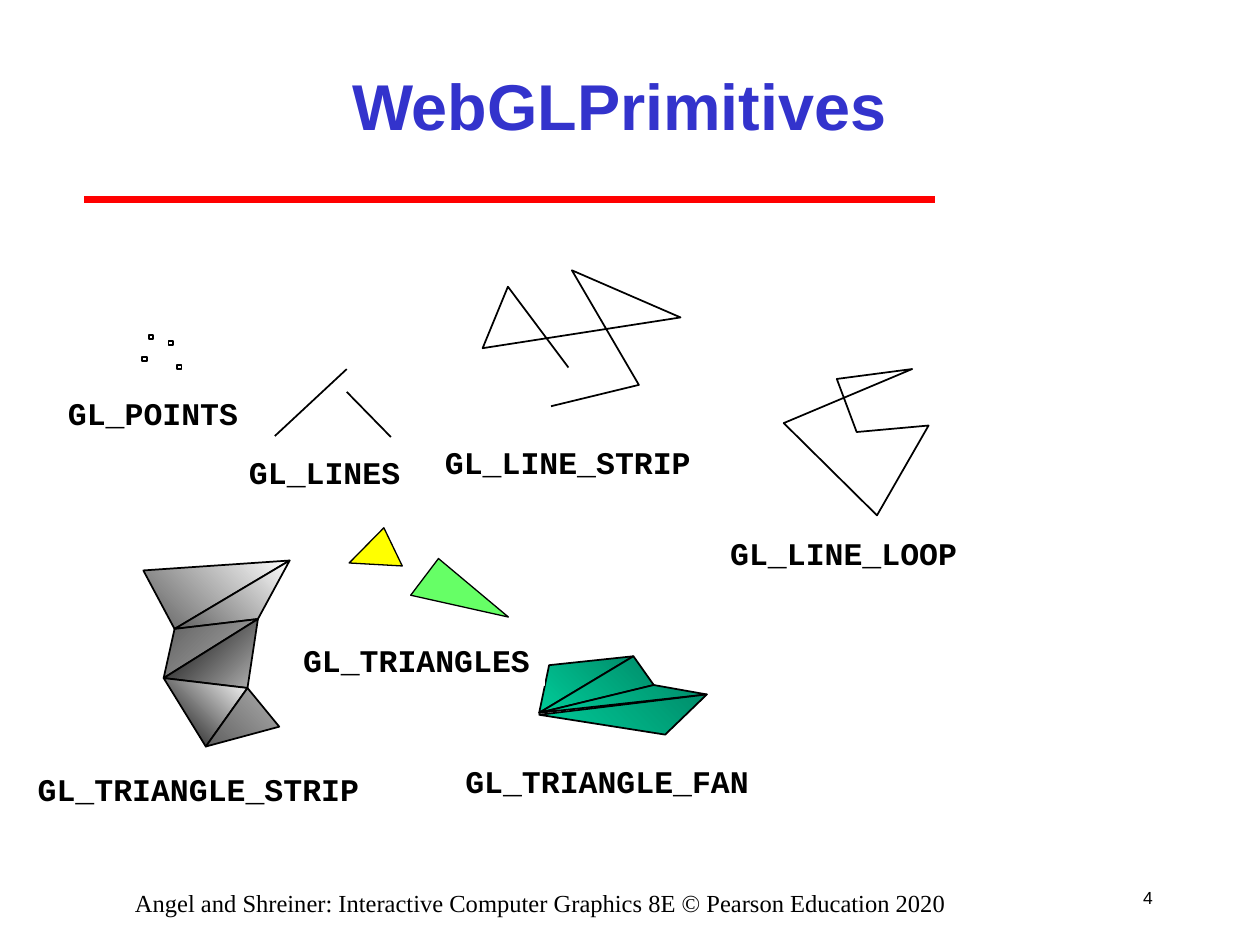
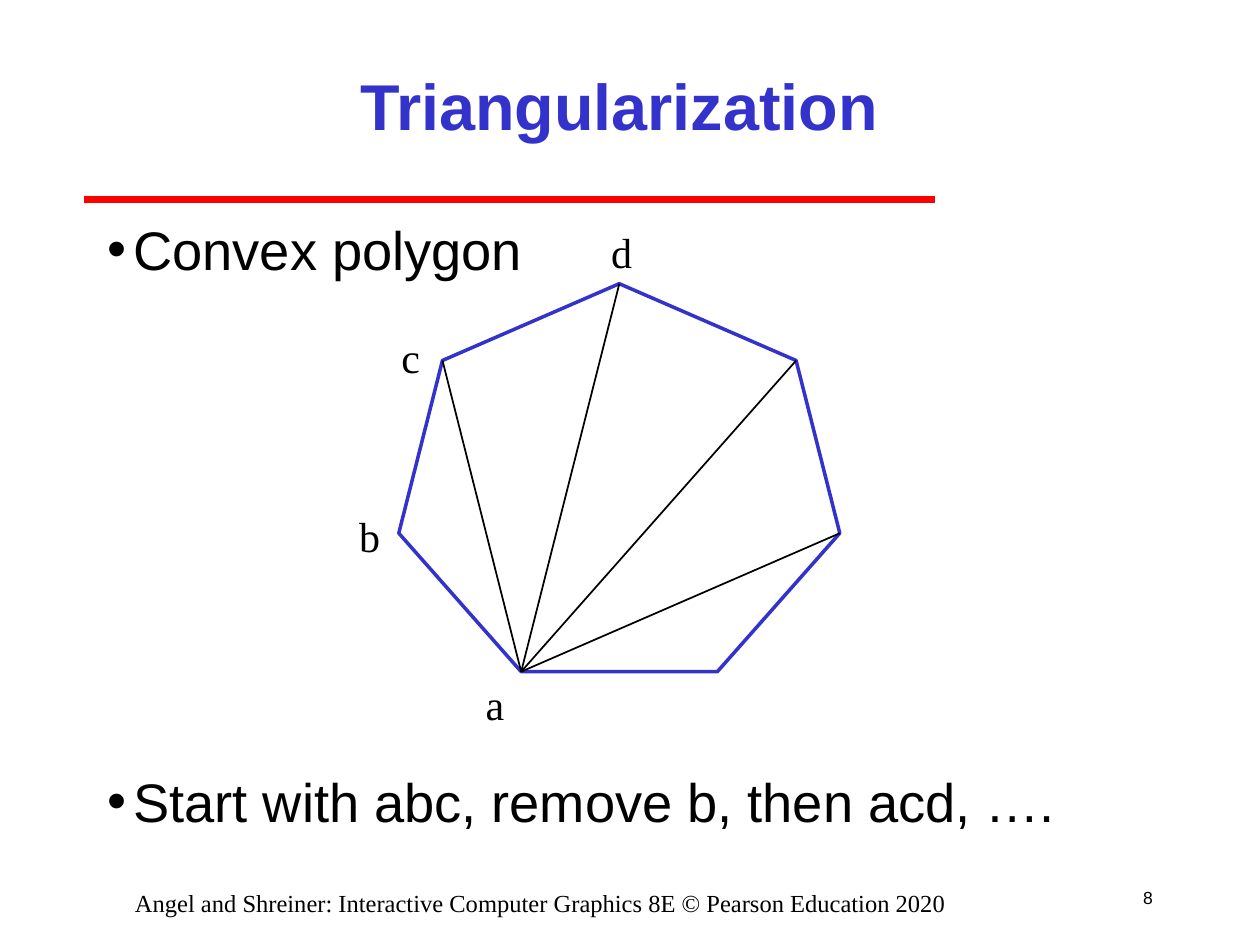
import math
from collections import namedtuple
from dataclasses import dataclass

from lxml import etree
from pptx import Presentation
from pptx import util as u
from pptx.dml.color import RGBColor
from pptx.enum import shapes, text
from pptx.oxml import ns

Box = namedtuple("Box", "left top width height", defaults=(0, 0))


@dataclass(frozen=True)
class Theme:
    ink: str = "000000"
    paper: str = "FFFFFF"
    accent: str = "3333CC"
    rule: str = "FF0000"
    yellow: str = "FFFF00"
    green: str = "66FF66"
    fan: tuple = ("00CC99", "008E6B")
    sans: str = "Arial"
    serif: str = "Times New Roman"
    mono: str = "Courier New"
    title: float = 37
    body: float = 31
    vertex: float = 24
    code: float = 18
    footer: float = 14
    number: float = 10
    thin: float = 0.75
    normal: float = 1
    edge: float = 2
    bar: float = 4


THEME = Theme()
FOOTER = "Angel and Shreiner: Interactive Computer Graphics 8E © Pearson Education 2020"
UP, DOWN = 45, 315


def rgb(color):
    return RGBColor.from_string(color)


def add_text(slide, box, content, size, font=THEME.sans, color=THEME.ink, bold=False,
             align=text.PP_ALIGN.LEFT, anchor=text.MSO_ANCHOR.TOP, wrap=True,
             border=None, bullet=None, gap=0):
    holder = slide.shapes.add_textbox(*map(u.Cm, box))
    if border:
        holder.line.color.rgb = rgb(border)
        holder.line.width = u.Pt(THEME.thin)
    frame = holder.text_frame
    frame.word_wrap = wrap
    if not wrap:
        frame.auto_size = text.MSO_AUTO_SIZE.SHAPE_TO_FIT_TEXT
    frame.vertical_anchor = anchor
    for index, words in enumerate(content.split("\n")):
        paragraph = frame.paragraphs[0] if index == 0 else frame.add_paragraph()
        paragraph.text = words
        paragraph.alignment = align
        if index:
            paragraph.space_before = u.Pt(gap)
        if bullet:
            properties = paragraph._p.get_or_add_pPr()
            properties.set("marL", str(u.Cm(0.53)))
            properties.set("indent", str(u.Cm(-0.53)))
            etree.SubElement(properties, ns.qn("a:buFont")).set("typeface", font)
            etree.SubElement(properties, ns.qn("a:buChar")).set("char", bullet)
        style = paragraph.runs[0].font
        style.name, style.size, style.bold = font, u.Pt(size), bold
        style.color.rgb = rgb(color)


def add_line(slide, box, start, end, color=THEME.ink, weight=THEME.normal):
    ends = [u.Cm(base + offset) for point in (start, end)
            for base, offset in zip(box, point)]
    line = slide.shapes.add_connector(shapes.MSO_CONNECTOR.STRAIGHT, *ends)
    line.line.color.rgb = rgb(color)
    line.line.width = u.Pt(weight)
    etree.SubElement(line._element.spPr, ns.qn("a:effectLst"))


def paint(figure, fill=None, angle=UP, color=THEME.ink, weight=THEME.normal):
    figure.shadow.inherit = False
    if fill is None:
        figure.fill.background()
    elif isinstance(fill, tuple):
        figure.fill.gradient()
        figure.fill.gradient_angle = angle
        for stop, shade in zip(figure.fill.gradient_stops, fill):
            stop.color.rgb = rgb(shade)
    else:
        figure.fill.solid()
        figure.fill.fore_color.rgb = rgb(fill)
    figure.line.color.rgb = rgb(color)
    figure.line.width = u.Pt(weight)


def add_outline(slide, box, points, close=True, **look):
    first, *rest = [(u.Cm(x), u.Cm(y)) for x, y in points]
    builder = slide.shapes.build_freeform(*first)
    builder.add_line_segments(rest, close=close)
    paint(builder.convert_to_shape(u.Cm(box.left), u.Cm(box.top)), **look)


def draw_points(slide, box):
    for x, y in [(0.13, 0), (0.53, 0.11), (0, 0.44), (0.7, 0.6)]:
        dot = Box(box.left + x, box.top + y, 0.09, 0.08)
        paint(slide.shapes.add_shape(shapes.MSO_SHAPE.RECTANGLE, *map(u.Cm, dot)),
              fill=THEME.paper)


def draw_lines(slide, box):
    add_line(slide, box, (0, 1.35), (1.45, 0))
    add_line(slide, box, (1.45, 0.46), (2.34, 1.37))


def draw_line_strip(slide, box):
    add_outline(slide, box, [(1.73, 1.96), (0.51, 0.33), (0, 1.57), (3.99, 0.95),
                             (1.8, 0), (3.15, 2.31), (1.38, 2.74)], close=False)


def draw_line_loop(slide, box):
    add_outline(slide, box, [(1.47, 1.27), (1.07, 0.2), (2.59, 0), (0, 1.09),
                             (1.88, 2.95), (2.92, 1.14)])


def draw_triangles(slide, box):
    add_outline(slide, box, [(0.7, 0), (0, 0.71), (1.07, 0.77)],
                fill=THEME.yellow, weight=THEME.thin)
    add_outline(slide, box, [(1.8, 0.62), (1.24, 1.36), (3.21, 1.8)],
                fill=THEME.green, weight=THEME.thin)


def draw_triangle_strip(slide, box):
    vertices = [(0, 0.2), (2.95, 0), (0.63, 1.38), (2.31, 1.18),
                (0.41, 2.37), (2.1, 2.57), (1.26, 3.75), (2.74, 3.35)]
    shades = [("5F5F5F", "FFFFFF", UP), ("5F5F5F", "FFFFFF", UP),
              ("5F5F5F", "AFAFAF", DOWN), ("000000", "B2B2B2", DOWN),
              ("000000", "FFFFFF", UP), ("5F5F5F", "AFAFAF", UP)]
    for index, (dark, light, angle) in enumerate(shades):
        add_outline(slide, box, vertices[index:index + 3],
                    fill=(dark, light), angle=angle)


def draw_triangle_fan(slide, box):
    hubs = [(0, 1.14), (0, 1.14), (0, 1.14), (0, 1.18)]
    rim = [(0.2, 0.18), (1.9, 0), (2.31, 0.58), (3.38, 0.77), (2.54, 1.58)]
    for hub, near, far in zip(hubs, rim, rim[1:]):
        add_outline(slide, box, [hub, near, far], fill=THEME.fan)


def draw_heptagon(slide, box):
    turns = [2 * math.pi * k / 7 for k in range(7)]
    half_width = max(math.sin(turn) for turn in turns)
    depth = 1 - min(math.cos(turn) for turn in turns)
    corners = [(box.width * (1 + math.sin(turn) / half_width) / 2,
                box.height * (1 - math.cos(turn)) / depth) for turn in turns]
    add_outline(slide, box, corners, fill=THEME.paper, color=THEME.accent,
                weight=THEME.edge)
    for k in (6, 0, 1, 2):
        add_line(slide, box, corners[k], corners[4])
    for letter, x, y in [("a", 1.5, 7.83), ("b", -1.05, 4.45),
                         ("c", -0.2, 0.84), ("d", 4.03, -1.27)]:
        add_text(slide, Box(box.left + x, box.top + y, 0.9, 1.27), letter,
                 THEME.vertex, font=THEME.serif, wrap=False)


def add_frame(deck, title, number):
    slide = deck.slides.add_slide(deck.slide_layouts[6])
    add_line(slide, Box(1.7, 4.02), (0, 0), (17.14, 0), color=THEME.rule,
             weight=THEME.bar)
    add_text(slide, Box(3.81, 0.62, 17.35, 2.97), title, THEME.title,
             color=THEME.accent, bold=True, align=text.PP_ALIGN.CENTER,
             anchor=text.MSO_ANCHOR.MIDDLE)
    add_text(slide, Box(1.27, 17.78, 19.26, 0.64), FOOTER, THEME.footer,
             font=THEME.serif, align=text.PP_ALIGN.CENTER)
    add_text(slide, Box(22.42, 17.56, 1.07, 1.07), str(number), THEME.number,
             align=text.PP_ALIGN.RIGHT, anchor=text.MSO_ANCHOR.MIDDLE)
    return slide


def build_primitives(deck):
    slide = add_frame(deck, "WebGLPrimitives", 4)
    primitives = [
        ("GL_TRIANGLE_STRIP", Box(0.51, 15.39), draw_triangle_strip, Box(2.89, 11.3)),
        ("GL_TRIANGLE_FAN", Box(9.13, 15.24), draw_triangle_fan, Box(10.87, 13.23)),
        ("GL_POINTS", Box(1.12, 7.82), draw_points, Box(2.87, 6.76)),
        ("GL_LINES", Box(4.77, 9.01), draw_lines, Box(5.54, 7.44)),
        ("GL_LINE_LOOP", Box(14.47, 10.64), draw_line_loop, Box(15.8, 7.44)),
        ("GL_LINE_STRIP", Box(8.72, 8.81), draw_line_strip, Box(9.73, 5.45)),
        ("GL_TRIANGLES", Box(5.86, 12.8), draw_triangles, Box(7.04, 10.64)),
    ]
    for name, label, draw, place in primitives:
        add_text(slide, label._replace(width=0.55 + 0.38 * len(name), height=1.02),
                 name, THEME.code, font=THEME.mono, bold=True, wrap=False,
                 border=THEME.paper)
        draw(slide, place)


def build_triangularization(deck):
    slide = add_frame(deck, "Triangularization", 8)
    add_text(slide, Box(1.91, 4.24, 21.59, 13.13),
             "Convex polygon\nStart with abc, remove b, then acd, ….",
             THEME.body, bullet="•", gap=278)
    draw_heptagon(slide, Box(8.04, 5.72, 8.89, 7.82))


def main():
    deck = Presentation()
    deck.slide_width, deck.slide_height = u.Cm(25.4), u.Cm(19.05)
    build_primitives(deck)
    build_triangularization(deck)
    deck.save("out.pptx")


if __name__ == "__main__":
    main()
